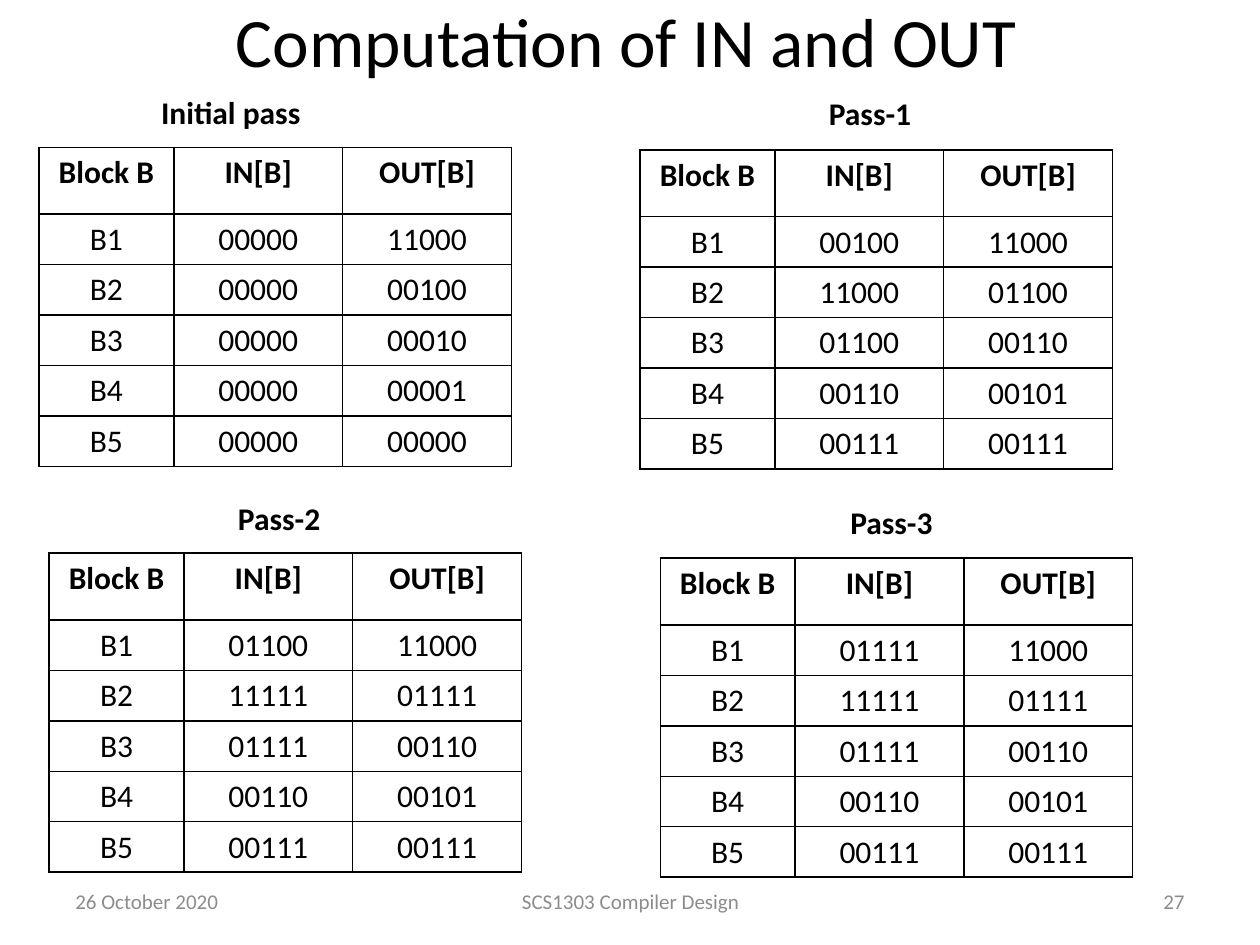
"""Build the slide with the IN and OUT sets of four data-flow passes."""
from lxml import etree
from pptx import Presentation
from pptx import util as u
from pptx.dml.color import RGBColor
from pptx.enum import text
from pptx.oxml import ns

WIDE, HIGH = 10, 7.5
FONT = "Calibri"
HUES = {"ink": "000000", "gray": "8C8C8C"}
LEFT, MID, RIGHT = text.PP_ALIGN.LEFT, text.PP_ALIGN.CENTER, text.PP_ALIGN.RIGHT

TITLE = ("Computation of IN and OUT", (0.47, 0.08, 9, 0.47))
FOOT = [
    ("26 October 2020", 0.5, 2.33, LEFT),
    ("SCS1303 Compiler Design", 3.42, 3.17, MID),
    ("27", 7.17, 2.33, RIGHT),
]
HEAD = ("Block B", "IN[B]", "OUT[B]")
PASSES = [
    {"name": "Initial pass", "label": (1.18, 0.69, 1.32, 0.4), "grid": (0.31, 1.17),
     "in": "00000 00000 00000 00000 00000", "out": "11000 00100 00010 00001 00000"},
    {"name": "Pass-1", "label": (6.48, 0.7, 0.86, 0.4), "grid": (5.08, 1.19),
     "in": "00100 11000 01100 00110 00111", "out": "11000 01100 00110 00101 00111"},
    {"name": "Pass-2", "label": (1.79, 3.91, 0.86, 0.4), "grid": (0.39, 4.39),
     "in": "01100 11111 01111 00110 00111", "out": "11000 01111 00110 00101 00111"},
    {"name": "Pass-3", "label": (6.65, 3.94, 0.86, 0.4), "grid": (5.24, 4.43),
     "in": "01111 11111 01111 00110 00111", "out": "11000 01111 00110 00101 00111"},
]
COLS = (1.07, 1.34, 1.34)
ROWS = (0.53,) + (0.4,) * 5


def write(frame, words, size, align=LEFT, bold=False, hue="ink"):
    frame.text = words
    line = frame.paragraphs[0]
    line.alignment = align
    font = line.runs[0].font
    font.name, font.size, font.bold = FONT, u.Pt(size), bold
    font.color.rgb = RGBColor.from_string(HUES[hue])


def add_text(slide, words, area, size, wrap=True, **look):
    frame = slide.shapes.add_textbox(*map(u.Inches, area)).text_frame
    frame.word_wrap = wrap
    if wrap:
        frame.vertical_anchor = text.MSO_ANCHOR.MIDDLE
    else:
        frame.auto_size = text.MSO_AUTO_SIZE.SHAPE_TO_FIT_TEXT
    write(frame, words, size, **look)


def rule(cell):
    props = cell._tc.get_or_add_tcPr()
    for side in ("lnL", "lnR", "lnT", "lnB"):
        line = etree.SubElement(props, ns.qn("a:" + side), w=str(u.Pt(1)))
        fill = etree.SubElement(line, ns.qn("a:solidFill"))
        etree.SubElement(fill, ns.qn("a:srgbClr"), val=HUES["ink"])
    cell.fill.background()


def add_grid(slide, spot, data):
    area = (*spot, sum(COLS), sum(ROWS))
    grid = slide.shapes.add_table(len(ROWS), len(COLS), *map(u.Inches, area)).table
    grid.first_row = grid.horz_banding = False
    for col, width in zip(grid.columns, COLS):
        col.width = u.Inches(width)
    for r, (row, height) in enumerate(zip(grid.rows, ROWS)):
        row.height = u.Inches(height)
        for cell, words in zip(row.cells, data[r]):
            rule(cell)
            write(cell.text_frame, words, 18, MID, bold=r == 0)


def main():
    deck = Presentation()
    deck.slide_width, deck.slide_height = u.Inches(WIDE), u.Inches(HIGH)
    slide = deck.slides.add_slide(deck.slide_layouts[6])
    add_text(slide, *TITLE, 39.6, align=MID)
    for words, left, width, align in FOOT:
        add_text(slide, words, (left, 6.95, width, 0.4), 12, align=align, hue="gray")
    for step in PASSES:
        ins, outs = step["in"].split(), step["out"].split()
        blocks = [f"B{n}" for n in range(1, len(ROWS))]
        add_grid(slide, step["grid"], [HEAD, *zip(blocks, ins, outs)])
        add_text(slide, step["name"], step["label"], 18, wrap=False, bold=True)
    deck.save("out.pptx")


if __name__ == "__main__":
    main()
